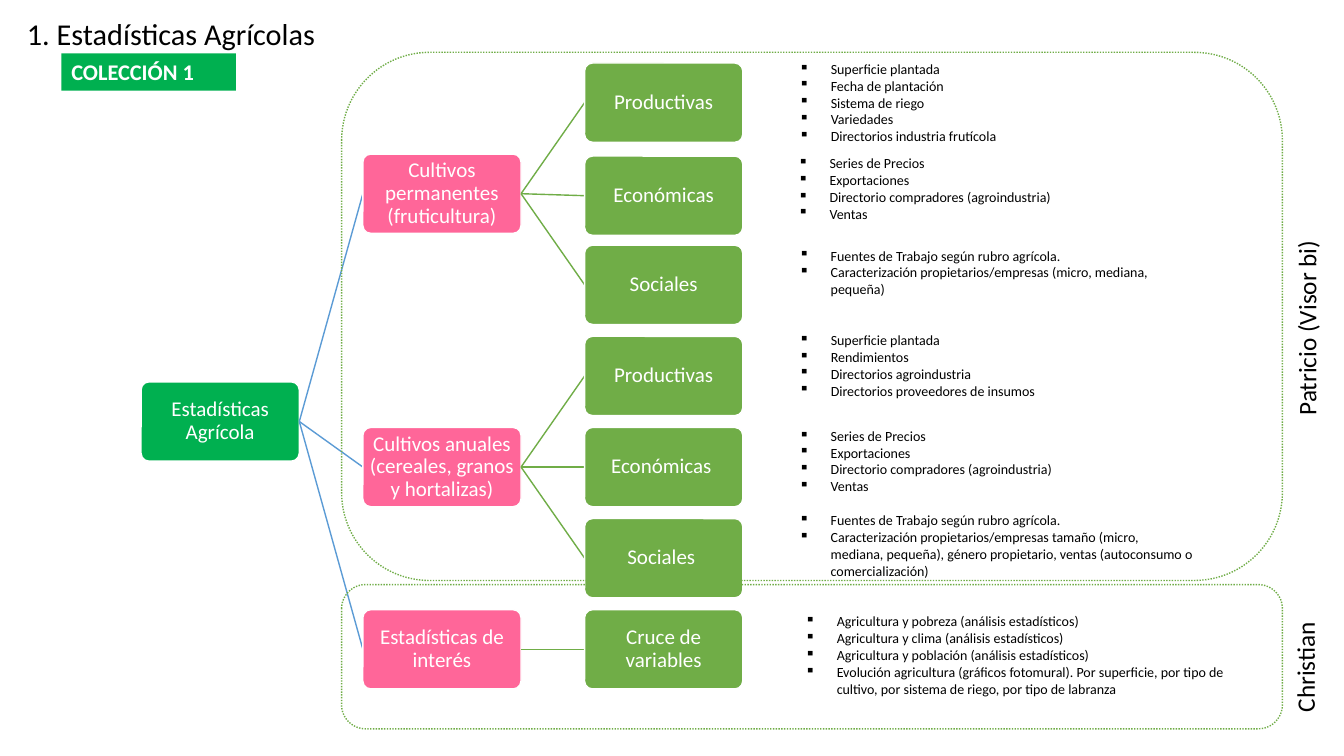
from dataclasses import dataclass

from lxml import etree
from pptx import Presentation
from pptx.dml.color import RGBColor
from pptx.enum.dml import MSO_LINE
from pptx.enum.shapes import MSO_CONNECTOR, MSO_SHAPE
from pptx.enum.text import MSO_ANCHOR, PP_ALIGN
from pptx.oxml.ns import qn
from pptx.util import Pt

ROUNDED = MSO_SHAPE.ROUNDED_RECTANGLE
STRAIGHT = MSO_CONNECTOR.STRAIGHT
DOTTED = MSO_LINE.ROUND_DOT
MIDDLE, TOP = MSO_ANCHOR.MIDDLE, MSO_ANCHOR.TOP
CENTER, LEFT = PP_ALIGN.CENTER, PP_ALIGN.LEFT

FONT = "Calibri"
COLORS = {
    "root": "00B050",
    "branch": "FF6699",
    "leaf": "70AD47",
    "trunk": "5B9BD5",
    "white": "FFFFFF",
    "black": "000000",
}

# Tree grid, in points
BOX_W, BOX_H = 113, 56.6
TREE_LEFT, LEVEL_STEP = 100.8, 158.4
TREE_TOP, ROW_STEP = 45, 65.08
BULLET_INDENT = 22.5


@dataclass
class Node:
    """A box of the tree; row counts from the top, nudge shifts it down."""
    text: str
    row: float
    level: int
    color: str
    nudge: float = 0

    @property
    def left(self) -> float:
        return TREE_LEFT + self.level * LEVEL_STEP

    @property
    def top(self) -> float:
        return TREE_TOP + self.row * ROW_STEP + self.nudge

    @property
    def middle(self) -> float:
        return self.top + BOX_H / 2


@dataclass
class Label:
    text: str
    left: float
    top: float
    width: float
    height: float
    size: float
    color: str = "black"
    fill: str = ""
    bold: bool = False
    rotation: float = 0
    anchor: MSO_ANCHOR = TOP


@dataclass
class Topics:
    left: float
    top: float
    width: float
    height: float
    items: list[str]
    fill: str = ""


@dataclass
class Frame:
    top: float
    height: float


def rgb(color: str) -> RGBColor:
    return RGBColor.from_string(COLORS[color])


def style_paragraph(paragraph, text: str, size: float, color: str,
                    bold: bool = False, align: PP_ALIGN = LEFT) -> None:
    paragraph.text = text
    paragraph.alignment = align
    paragraph.font.name = FONT
    paragraph.font.size = Pt(size)
    paragraph.font.bold = bold
    paragraph.font.color.rgb = rgb(color)


def draw_node(slide, node: Node) -> None:
    box = slide.shapes.add_shape(
        ROUNDED, Pt(node.left), Pt(node.top), Pt(BOX_W), Pt(BOX_H))
    box.adjustments[0] = 0.1
    box.shadow.inherit = False
    box.fill.solid()
    box.fill.fore_color.rgb = rgb(node.color)
    box.line.color.rgb = rgb("white")
    box.line.width = Pt(1)
    frame = box.text_frame
    frame.word_wrap = True
    frame.vertical_anchor = MIDDLE
    frame.margin_left = frame.margin_right = Pt(2.3)
    frame.margin_top = frame.margin_bottom = Pt(2.3)
    style_paragraph(frame.paragraphs[0], node.text, 15, "white", align=CENTER)
    frame.paragraphs[0].line_spacing = 0.9


def draw_link(slide, parent: Node, child: Node, color: str) -> None:
    link = slide.shapes.add_connector(
        STRAIGHT, Pt(parent.left + BOX_W), Pt(parent.middle),
        Pt(child.left), Pt(child.middle))
    link.line.color.rgb = rgb(color)
    link.line.width = Pt(1)
    etree.SubElement(link.element.spPr, qn("a:effectLst"))


def add_text_area(slide, area: Label | Topics):
    box = slide.shapes.add_textbox(
        Pt(area.left), Pt(area.top), Pt(area.width), Pt(area.height))
    box.text_frame.word_wrap = True
    if area.fill:
        box.fill.solid()
        box.fill.fore_color.rgb = rgb(area.fill)
    return box


def draw_label(slide, label: Label) -> None:
    box = add_text_area(slide, label)
    box.rotation = label.rotation
    box.text_frame.vertical_anchor = label.anchor
    style_paragraph(box.text_frame.paragraphs[0], label.text, label.size,
                    label.color, label.bold)


def draw_topics(slide, topics: Topics) -> None:
    frame = add_text_area(slide, topics).text_frame
    for index, item in enumerate(topics.items):
        paragraph = frame.add_paragraph() if index else frame.paragraphs[0]
        style_paragraph(paragraph, item, 10, "black")
        properties = paragraph._p.get_or_add_pPr()
        properties.set("marL", str(Pt(BULLET_INDENT)))
        properties.set("indent", str(-Pt(BULLET_INDENT)))
        bullet = etree.Element(qn("a:buChar"), char="▪")
        properties.insert(0, bullet)


def draw_frame(slide, frame: Frame) -> None:
    outline = slide.shapes.add_shape(
        ROUNDED, Pt(244), Pt(frame.top), Pt(672), Pt(frame.height))
    outline.shadow.inherit = False
    outline.fill.background()
    outline.line.color.rgb = rgb("leaf")
    outline.line.width = Pt(1)
    outline.line.dash_style = DOTTED


# Content
ROOT = Node("Estadísticas Agrícola", 3.5, 0, "root")
BRANCHES = [
    (Node("Cultivos permanentes (fruticultura)", 1, 1, "branch"), [
        Node("Productivas", 0, 2, "leaf"),
        Node("Económicas", 1, 2, "leaf", nudge=1.4),
        Node("Sociales", 2, 2, "leaf")]),
    (Node("Cultivos anuales (cereales, granos y hortalizas)", 4, 1, "branch"), [
        Node("Productivas", 3, 2, "leaf"),
        Node("Económicas ", 4, 2, "leaf"),
        Node("Sociales ", 5, 2, "leaf")]),
    (Node("Estadísticas de interés", 6, 1, "branch"), [
        Node("Cruce de variables", 6, 2, "leaf")]),
]

ECONOMIC = ["Series de Precios", "Exportaciones",
            "Directorio compradores (agroindustria)", "Ventas"]
JOBS = "Fuentes de Trabajo según rubro agrícola."
TOPICS = [
    Topics(563.8, 39.6, 322.6, 67.7, [
        "Superficie plantada", "Fecha de plantación", "Sistema de riego",
        "Variedades", "Directorios industria frutícola"]),
    Topics(563, 107, 296, 55.4, ECONOMIC),
    Topics(563.8, 173, 296, 44, [
        JOBS,
        "Caracterización propietarios/empresas (micro, mediana, pequeña)"]),
    Topics(563.8, 233.3, 322.6, 55.4, [
        "Superficie plantada", "Rendimientos", "Directorios agroindustria",
        "Directorios proveedores de insumos"]),
    Topics(563.8, 301.7, 296, 55.4, ECONOMIC),
    Topics(563.8, 362, 296, 55.4, [
        JOBS,
        "Caracterización propietarios/empresas tamaño (micro, mediana, pequeña), "
        "género propietario, ventas (autoconsumo o comercialización)"]),
    Topics(568.1, 434.2, 325.4, 67.7, [
        "Agricultura y pobreza (análisis estadísticos)",
        "Agricultura y clima (análisis estadísticos)",
        "Agricultura y población (análisis estadísticos)",
        "Evolución agricultura (gráficos fotomural). Por superficie, por tipo "
        "de cultivo, por sistema de riego, por tipo de labranza"], "white"),
]
LABELS = [
    Label("1. Estadísticas Agrícolas", 12.2, 10.8, 275.8, 26.6, 21.6,
          anchor=MIDDLE),
    Label("COLECCIÓN 1", 43.9, 38.2, 124.6, 26.6, 16, "white", "root", True),
    Label("Christian", 882.7, 452.2, 98.6, 28.8, 18, rotation=270),
    Label("Patricio (Visor bi)", 828, 184.3, 210.2, 28.8, 18, rotation=270),
]
FRAMES = [Frame(417.6, 103), Frame(37.4, 377.3)]


def main() -> None:
    deck = Presentation()
    deck.slide_width, deck.slide_height = Pt(960), Pt(540)
    slide = deck.slides.add_slide(deck.slide_layouts[6])

    # Tree
    draw_node(slide, ROOT)
    for branch, leaves in BRANCHES:
        draw_link(slide, ROOT, branch, "trunk")
        draw_node(slide, branch)
        for leaf in leaves:
            draw_link(slide, branch, leaf, "leaf")
            draw_node(slide, leaf)

    # Topic lists, labels and dotted frames
    for topics in TOPICS:
        draw_topics(slide, topics)
    for label in LABELS:
        draw_label(slide, label)
    for frame in FRAMES:
        draw_frame(slide, frame)

    deck.save("out.pptx")


if __name__ == "__main__":
    main()
